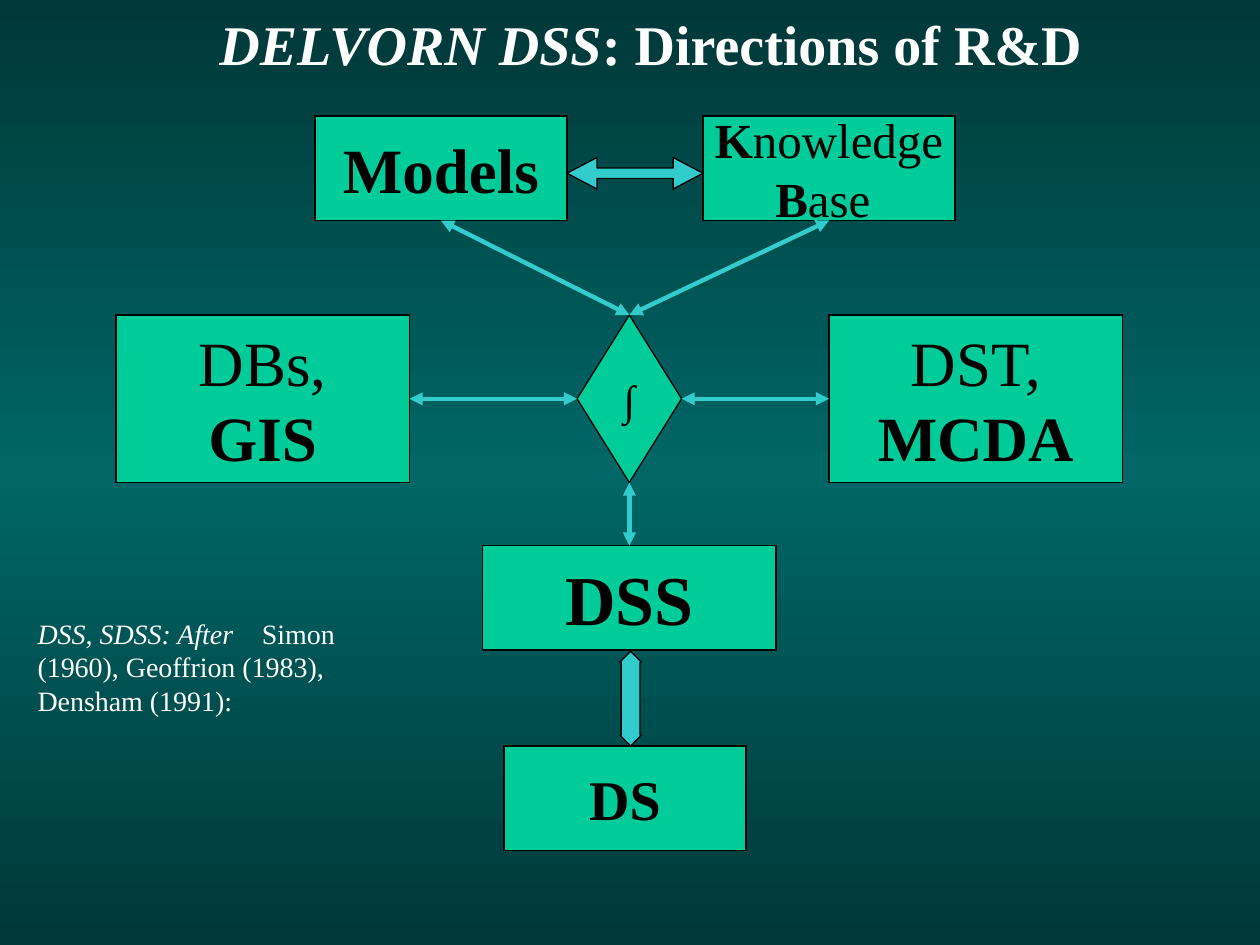
from copy import deepcopy

from lxml import etree
from pptx import Presentation
from pptx.dml.color import RGBColor
from pptx.enum import shapes, text
from pptx.oxml.ns import qn
from pptx.util import Inches, Pt

FONT = "Times New Roman"
COLORS = {
    "edge": "003838",
    "middle": "006666",
    "box": "00CC99",
    "arrow": "33CCCC",
    "ink": "000000",
    "light": "FFFFFF",
}
TOP, LEFT, BOTTOM, RIGHT = range(4)
SHAPE = shapes.MSO_SHAPE


def rgb(name):
    return RGBColor.from_string(COLORS[name])


def set_background(slide):
    fill = slide.background.fill
    fill.gradient()
    fill.gradient_angle = 270
    stops = slide._element.find(".//" + qn("a:gsLst"))
    stops.insert(1, deepcopy(stops[0]))
    names = ("edge", "middle", "edge")
    for stop, position, name in zip(fill.gradient_stops, (0, 0.5, 1), names):
        stop.position = position
        stop.color.rgb = rgb(name)


def add_runs(p, runs, size, color):
    """Each run is (text, style); style holds b for bold and i for italic."""
    for words, style in runs:
        r = p.add_run()
        r.text = words
        r.font.name = FONT
        r.font.size = Pt(size)
        r.font.bold = "b" in style
        r.font.italic = "i" in style
        r.font.color.rgb = rgb(color)


def add_title(slide, runs):
    title = slide.shapes.title
    title.left, title.top = Inches(0.83), Inches(0)
    title.width, title.height = Inches(8.67), Inches(0.69)
    tf = title.text_frame
    tf.auto_size = text.MSO_AUTO_SIZE.NONE
    tf.vertical_anchor = text.MSO_ANCHOR.MIDDLE
    tf.paragraphs[0].alignment = text.PP_ALIGN.CENTER
    add_runs(tf.paragraphs[0], runs, 32, "light")


def add_filled(slide, kind, box, color):
    sp = slide.shapes.add_shape(kind, *map(Inches, box))
    sp.shadow.inherit = False
    sp.fill.solid()
    sp.fill.fore_color.rgb = rgb(color)
    sp.line.color.rgb = rgb("ink")
    sp.line.width = Pt(0.75)
    return sp


def add_node(slide, box, size, *lines, kind=SHAPE.RECTANGLE):
    sp = add_filled(slide, kind, box, "box")
    tf = sp.text_frame
    tf.word_wrap = False
    tf.vertical_anchor = text.MSO_ANCHOR.MIDDLE
    for i, runs in enumerate(lines):
        p = tf.add_paragraph() if i else tf.paragraphs[0]
        p.alignment = text.PP_ALIGN.CENTER
        add_runs(p, runs, size, "ink")
    return sp


def add_block_arrow(slide, kind, box, shaft, head):
    sp = add_filled(slide, kind, box, "arrow")
    sp.adjustments[0], sp.adjustments[1] = shaft, head


def add_link(slide, start, start_side, end, end_side):
    link = slide.shapes.add_connector(shapes.MSO_CONNECTOR.STRAIGHT, 0, 0, 0, 0)
    link.begin_connect(start, start_side)
    link.end_connect(end, end_side)
    link.line.color.rgb = rgb("arrow")
    link.line.width = Pt(2.5)
    ln = link.line._get_or_add_ln()
    for end_tag in ("a:headEnd", "a:tailEnd"):
        etree.SubElement(ln, qn(end_tag), type="triangle")
    etree.SubElement(link._element.spPr, qn("a:effectLst"))


def add_note(slide, box, runs, tab):
    tf = slide.shapes.add_textbox(*map(Inches, box)).text_frame
    tf.word_wrap = True
    tf.vertical_anchor = text.MSO_ANCHOR.MIDDLE
    p = tf.paragraphs[0]
    add_runs(p, runs, 16, "light")
    tabs = etree.SubElement(p._p.get_or_add_pPr(), qn("a:tabLst"))
    etree.SubElement(tabs, qn("a:tab"), pos=str(Inches(tab)), algn="l")


def main():
    prs = Presentation()
    prs.slide_width, prs.slide_height = Inches(10), Inches(7.5)
    slide = prs.slides.add_slide(prs.slide_layouts[5])
    set_background(slide)
    add_title(slide, [("DELVORN DSS", "bi"), (": Directions of R&D", "b")])

    # Components of the system
    models = add_node(slide, (2.5, 0.92, 2, 0.83), 36, [("Models", "b")])
    knowledge = add_node(slide, (5.58, 0.92, 2, 0.83), 28,
                         [("K", "b"), ("nowledge", "")],
                         [("B", "b"), ("ase ", "")])
    tools = add_node(slide, (6.58, 2.5, 2.33, 1.33), 36,
                     [("DST,", "")], [("MCDA", "b")])
    data = add_node(slide, (0.92, 2.5, 2.33, 1.33), 36,
                    [("DBs,", "")], [("GIS", "b")])
    dss = add_node(slide, (3.83, 4.33, 2.33, 0.83), 40, [("DSS", "b")])
    add_node(slide, (4, 5.92, 1.92, 0.83), 32, [("DS", "b")])
    hub = add_node(slide, (4.58, 2.5, 0.83, 1.33), 24, [("∫", "")],
                   kind=SHAPE.FLOWCHART_DECISION)

    # Links between the integrating hub and its neighbours
    add_link(slide, knowledge, BOTTOM, hub, TOP)
    add_link(slide, models, BOTTOM, hub, TOP)
    add_link(slide, hub, RIGHT, tools, LEFT)
    add_link(slide, data, RIGHT, hub, LEFT)
    add_link(slide, hub, BOTTOM, dss, TOP)

    # Block arrows
    add_block_arrow(slide, SHAPE.LEFT_RIGHT_ARROW, (4.5, 1.25, 1.08, 0.25), 0.33, 0.95)
    add_block_arrow(slide, SHAPE.UP_DOWN_ARROW, (4.92, 5.17, 0.17, 0.75), 0.5, 0.88)

    # References
    add_note(slide, (0.2, 4.4, 2.76, 1.78),
             [("DSS, SDSS: After", "i"),
              ("\tSimon (1960), Geoffrion (1983), Densham (1991):", "")], tab=1.78)

    prs.save("out.pptx")


if __name__ == "__main__":
    main()
